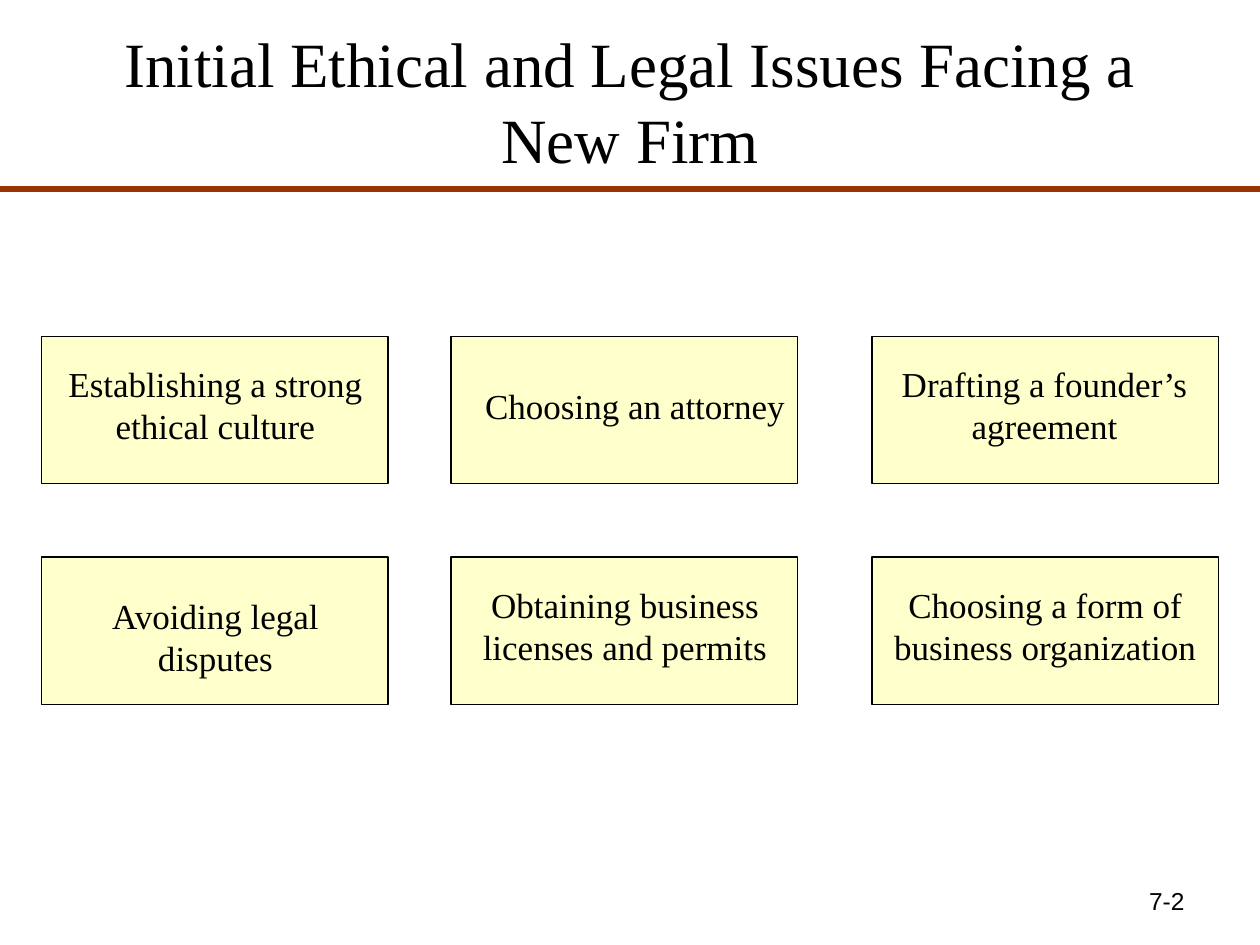
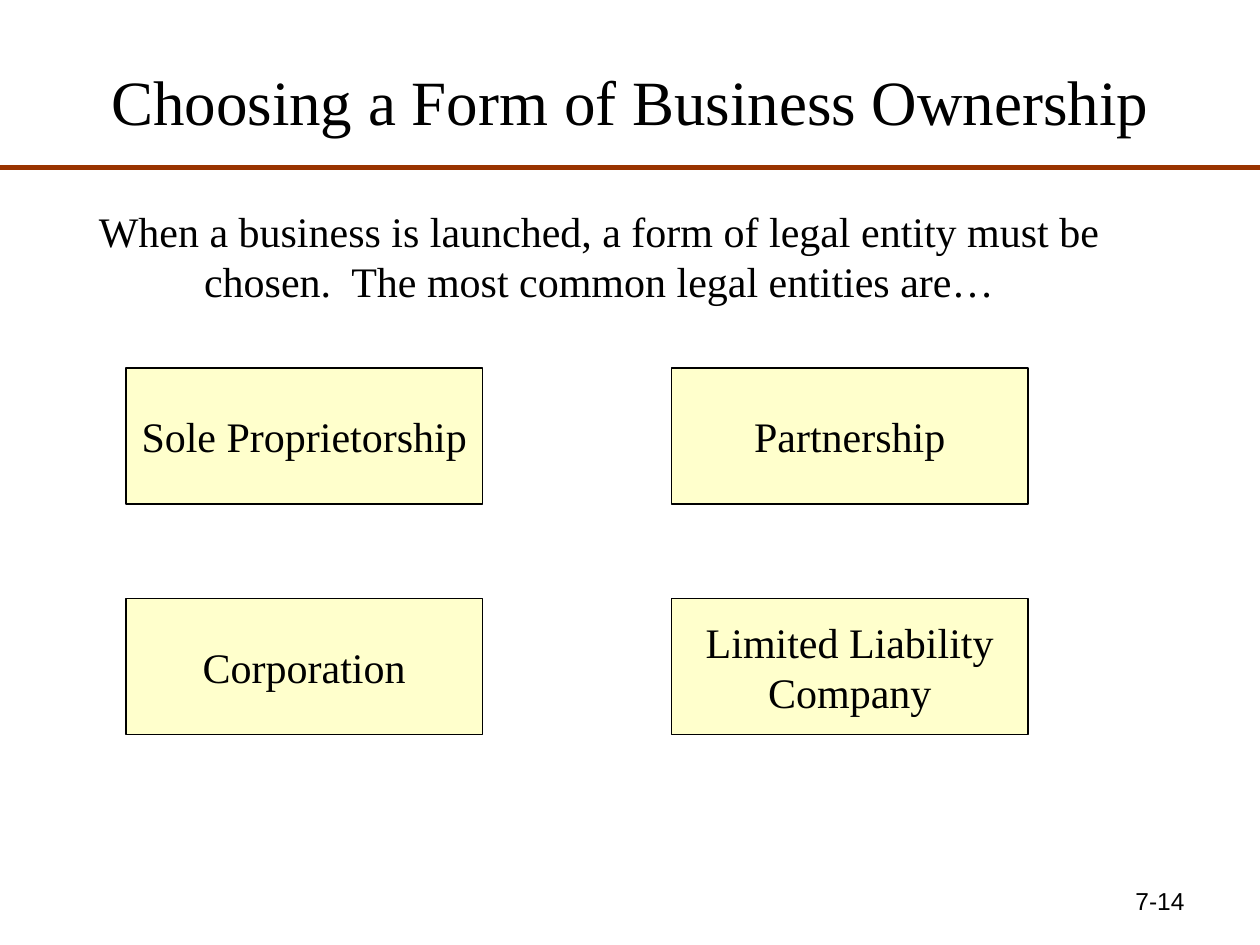
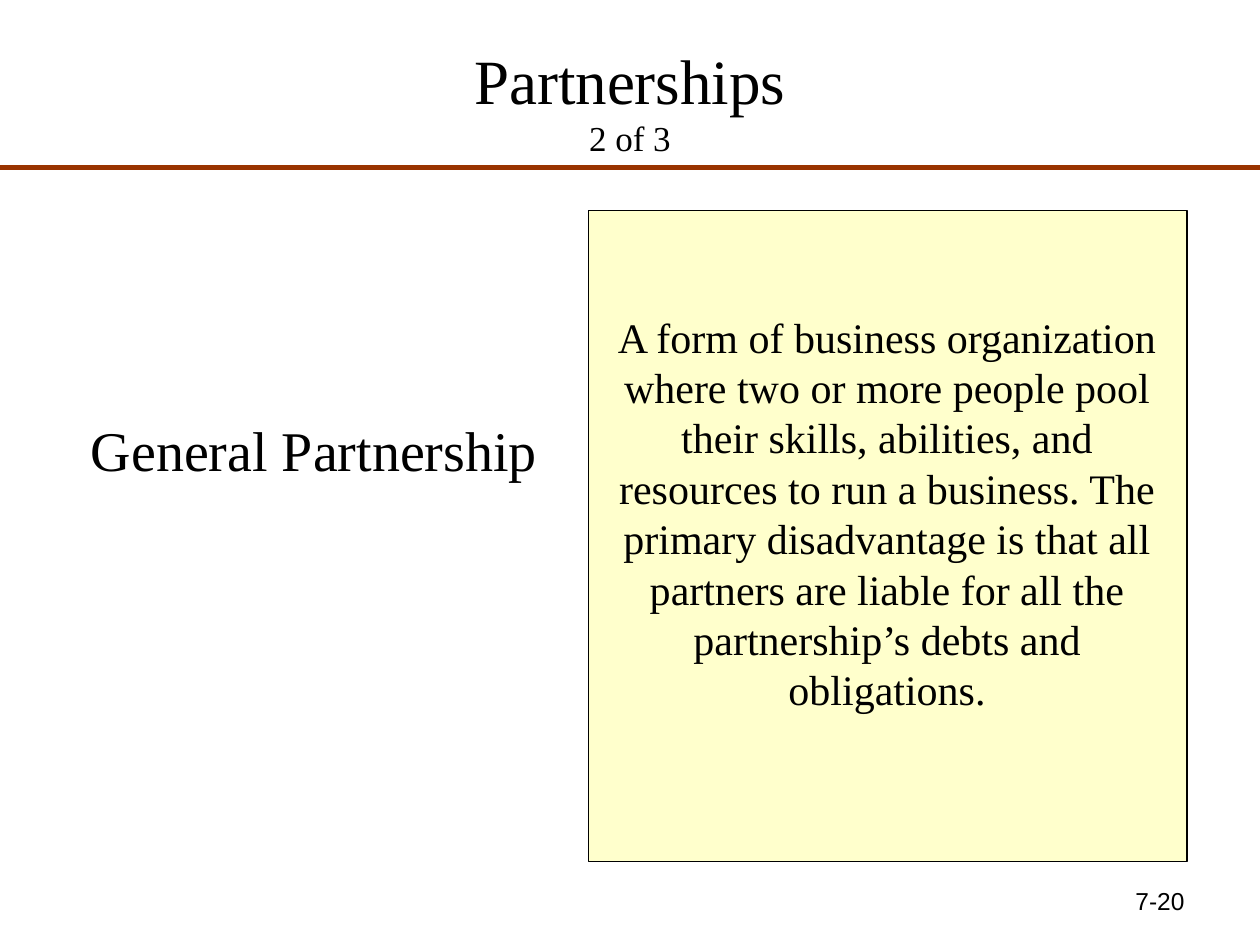
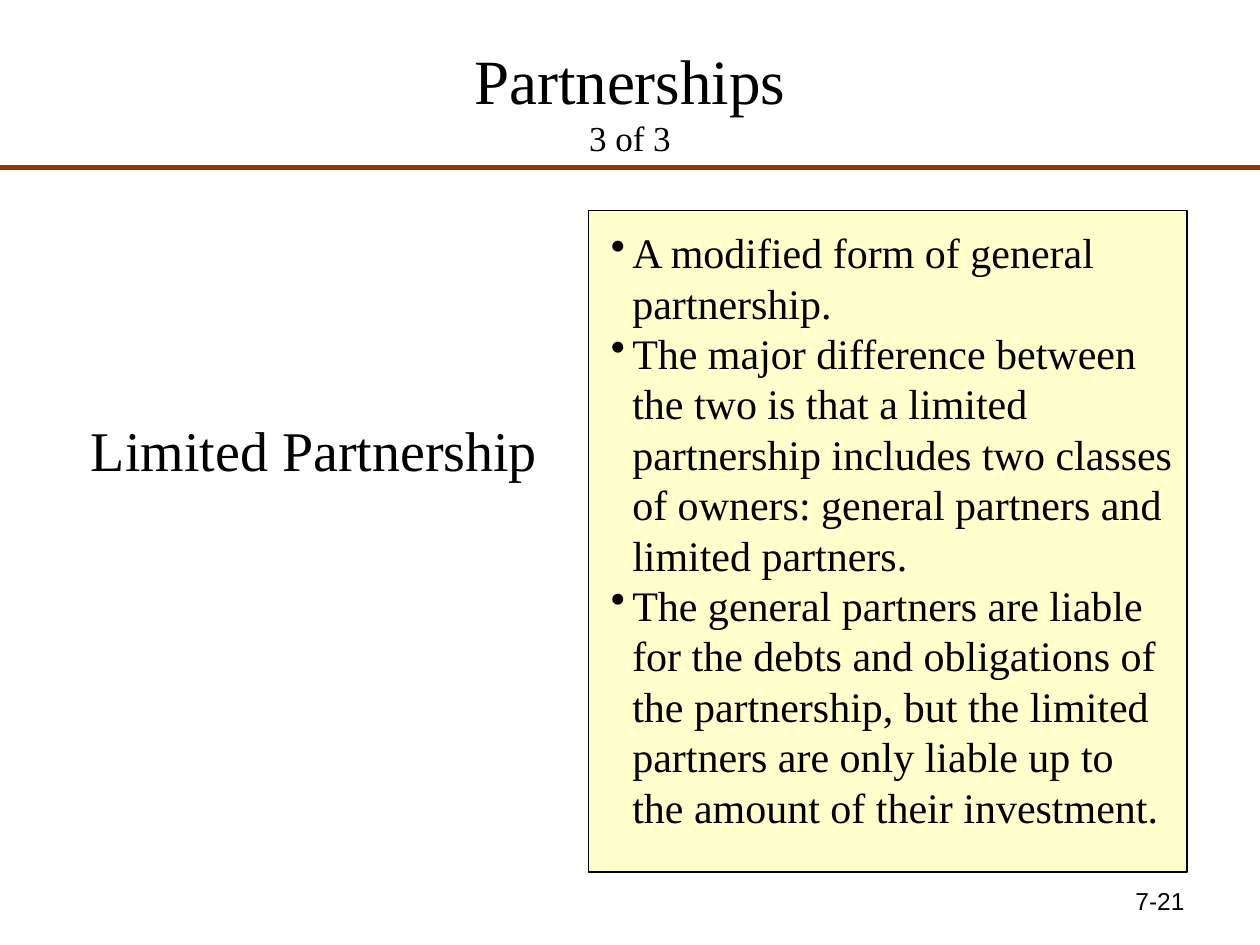
import pptx
import pptx.util
import pptx.dml.color
import pptx.enum.shapes
import pptx.enum.text
import pptx.oxml.ns
from lxml import etree

Inches = pptx.util.Inches
Pt = pptx.util.Pt
RGBColor = pptx.dml.color.RGBColor
ALIGN = pptx.enum.text.PP_ALIGN
ANCHOR = pptx.enum.text.MSO_ANCHOR

# Shared style
BLACK = RGBColor(0x00, 0x00, 0x00)
RULE_BROWN = RGBColor(0x99, 0x33, 0x00)
CARD_YELLOW = RGBColor(0xFF, 0xFF, 0xCC)
SERIF = "Times New Roman"
SANS = "Arial"
BULLET_INDENT = Inches(0.17)


def add_bullet(paragraph):
    properties = paragraph._p.get_or_add_pPr()
    properties.set("marL", str(BULLET_INDENT))
    properties.set("indent", str(-BULLET_INDENT))
    bullet = etree.SubElement(properties, pptx.oxml.ns.qn("a:buChar"))
    bullet.set("char", "•")


def write_text(shape, paragraphs, size=24, font=SERIF, align=ALIGN.CENTER,
               anchor=ANCHOR.TOP, wrap=True, bullets=False):
    """Fill a shape with one paragraph for each string."""
    frame = shape.text_frame
    frame.word_wrap = wrap
    frame.vertical_anchor = anchor
    for index, text in enumerate(paragraphs):
        paragraph = frame.add_paragraph() if index else frame.paragraphs[0]
        if bullets:
            add_bullet(paragraph)
        paragraph.alignment = align
        run = paragraph.add_run()
        run.text = text
        run.font.size = Pt(size)
        run.font.name = font
        run.font.color.rgb = BLACK


def add_text(slide, left, top, width, height, *paragraphs, **text_format):
    box = slide.shapes.add_textbox(Inches(left), Inches(top), Inches(width), Inches(height))
    write_text(box, paragraphs, **text_format)
    return box


def add_card(slide, left, top, width, height):
    card = slide.shapes.add_shape(pptx.enum.shapes.MSO_SHAPE.RECTANGLE, Inches(left),
                                  Inches(top), Inches(width), Inches(height))
    card.shadow.inherit = False
    card.fill.solid()
    card.fill.fore_color.rgb = CARD_YELLOW
    card.line.color.rgb = BLACK
    card.line.width = Pt(0.75)
    return card


def add_rule(slide, top):
    rule = slide.shapes.add_connector(pptx.enum.shapes.MSO_CONNECTOR.STRAIGHT,
                                      Inches(0), Inches(top), Inches(10), Inches(top))
    rule.line.color.rgb = RULE_BROWN
    rule.line.width = Pt(3)
    etree.SubElement(rule._element.spPr, pptx.oxml.ns.qn("a:effectLst"))


def add_base_slide(presentation, title, page, part=None, rule_top=1.33):
    """Start a slide with its title, rule and page number."""
    slide = presentation.slides.add_slide(presentation.slide_layouts[6])
    title_box = add_text(slide, 0.5, 0.17, 9, 1.25, title, size=36, anchor=ANCHOR.MIDDLE)
    if part:
        paragraph = title_box.text_frame.paragraphs[0]
        paragraph.add_line_break()
        run = paragraph.add_run()
        run.text = part
        run.font.size = Pt(20)
        run.font.name = SERIF
        run.font.color.rgb = BLACK
    add_rule(slide, rule_top)
    add_text(slide, 7.17, 6.98, 2.33, 0.52, page, size=14, font=SANS, align=ALIGN.RIGHT)
    return slide


def add_issues_slide(presentation):
    slide = add_base_slide(presentation, "Initial Ethical and Legal Issues Facing a New Firm",
                           "7-2", rule_top=1.5)
    card_lefts = (0.33, 3.58, 6.92)
    card_tops = (2.67, 4.42)
    # Each label: text, left, top, width, height
    labels = (
        ("Establishing a strong ethical culture", 0.42, 2.83, 2.58, 0.77),
        ("Choosing an attorney", 3.75, 3, 2.58, 0.44),
        ("Drafting a founder’s agreement", 7, 2.83, 2.58, 0.77),
        ("Avoiding legal disputes", 0.42, 4.67, 2.58, 0.77),
        ("Obtaining business licenses and permits", 3.67, 4.58, 2.58, 0.77),
        ("Choosing a form of business organization", 6.92, 4.58, 2.75, 0.77),
    )
    for index, (text, left, top, width, height) in enumerate(labels):
        row, column = divmod(index, 3)
        add_card(slide, card_lefts[column], card_tops[row], 2.75, 1.17)
        add_text(slide, left, top, width, height, text, size=20)


def add_ownership_slide(presentation):
    slide = add_base_slide(presentation, "Choosing a Form of Business Ownership", "7-14")
    add_text(slide, 0.67, 1.58, 8.17, 0.9,
             "When a business is launched, a form of legal entity must be chosen.  "
             "The most common legal entities are…")
    entities = (["Sole Proprietorship"], ["Partnership"],
                ["Corporation"], ["Limited Liability", "Company"])
    for index, lines in enumerate(entities):
        row, column = divmod(index, 2)
        card = add_card(slide, 1 + 4.33 * column, 2.92 + 1.83 * row, 2.83, 1.08)
        write_text(card, lines, anchor=ANCHOR.MIDDLE, wrap=False)


def add_partnership_slide(presentation, page, part, term, card_height):
    """Put the term at the left and an empty card at the right."""
    slide = add_base_slide(presentation, "Partnerships", page, part=part)
    add_text(slide, 0.33, 3.25, 4.33, 0.64, term, size=32)
    add_card(slide, 4.67, 1.67, 4.75, card_height)
    return slide


def main():
    presentation = pptx.Presentation()
    presentation.slide_width = Inches(10)
    presentation.slide_height = Inches(7.5)

    add_issues_slide(presentation)
    add_ownership_slide(presentation)

    # General partnership
    slide = add_partnership_slide(presentation, "7-20", "2 of 3", "General Partnership", 5.17)
    add_text(slide, 4.75, 2.42, 4.58, 3.3,
             "A form of business organization where two or more people pool their skills, "
             "abilities, and resources to run a business. The primary disadvantage is that "
             "all partners are liable for all the partnership’s debts and obligations.")

    # Limited partnership
    slide = add_partnership_slide(presentation, "7-21", "3 of 3", "Limited Partnership", 5.25)
    add_text(slide, 4.75, 1.75, 4.66, 4.9,
             "A modified form of general partnership.",
             "The major difference between the two is that a limited partnership includes "
             "two classes of owners: general partners and limited partners.",
             "The general partners are liable for the debts and obligations of the "
             "partnership, but the limited partners are only liable up to the amount of "
             "their investment.",
             align=ALIGN.LEFT, bullets=True)

    presentation.save("out.pptx")


if __name__ == "__main__":
    main()
